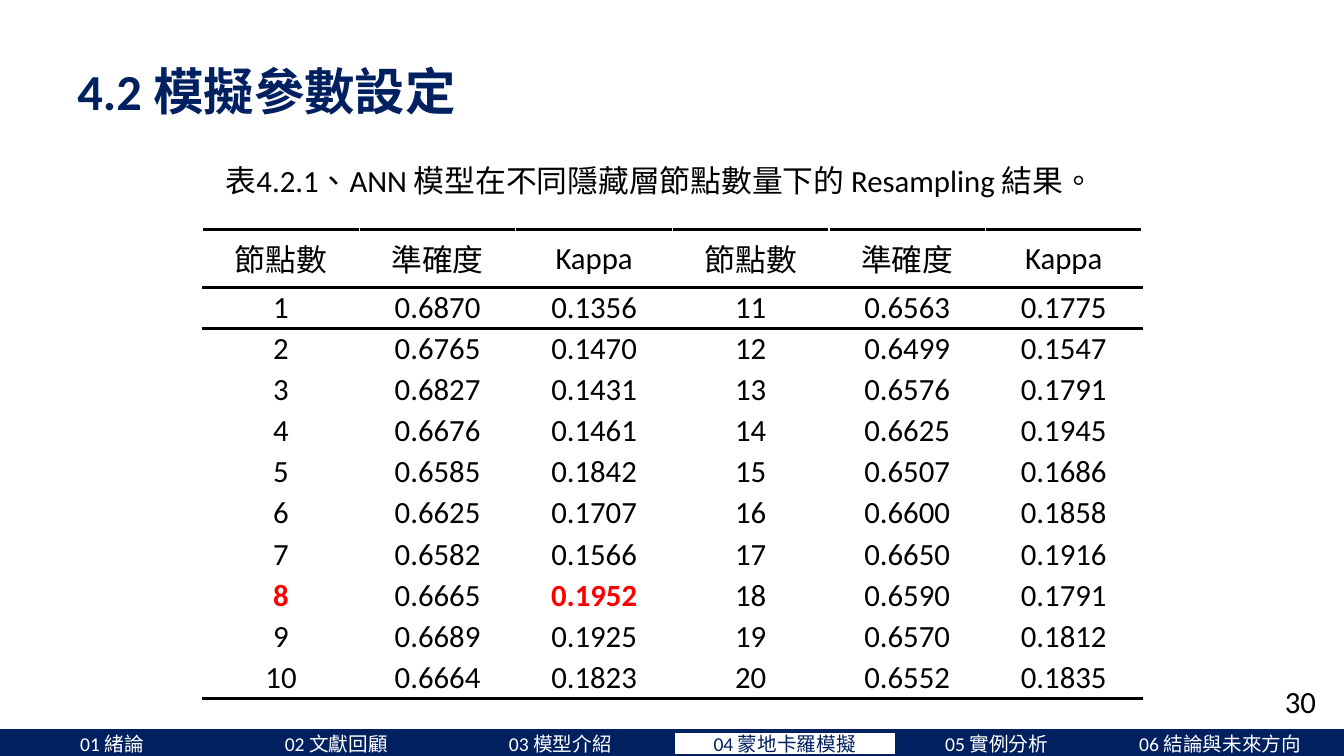
from itertools import accumulate
from lxml.etree import SubElement
from pptx import Presentation
from pptx.dml.color import RGBColor
from pptx.enum.lang import MSO_LANGUAGE_ID
from pptx.enum.shapes import MSO_SHAPE
from pptx.enum.text import MSO_ANCHOR, MSO_AUTO_SIZE, PP_ALIGN
from pptx.oxml.ns import qn
from pptx.util import Cm, Pt

NAVY, WHITE, BLACK, RED = "002060", "FFFFFF", "000000", "FF0000"
CHAPTERS = ["01 緒論", "02 文獻回顧", "03 模型介紹", "04 蒙地卡羅模擬", "05 實例分析", "06 結論與未來方向"]
CHAPTER_WIDTHS = [5.65, 5.65, 5.65, 5.65, 5.03, 6.24]
CURRENT_CHAPTER = 3
HEADINGS = ["節點數", "準確度", "Kappa"] * 2
ACCURACY = """0.6870 0.6765 0.6827 0.6676 0.6585 0.6625 0.6582 0.6665 0.6689 0.6664
0.6563 0.6499 0.6576 0.6625 0.6507 0.6600 0.6650 0.6590 0.6570 0.6552""".split()
KAPPA = """0.1356 0.1470 0.1431 0.1461 0.1842 0.1707 0.1566 0.1952 0.1925 0.1823
0.1775 0.1547 0.1791 0.1945 0.1686 0.1858 0.1916 0.1791 0.1812 0.1835""".split()
BEST = {"8", "0.1952"}


def rgb(hex_colour):
    """Turn a hex string into a colour."""
    return RGBColor.from_string(hex_colour)


def write(frame, text, size, colour, align=PP_ALIGN.LEFT, bold=False):
    """Put one formatted paragraph into a text frame."""
    frame.text = text
    paragraph = frame.paragraphs[0]
    paragraph.alignment = align
    for run in paragraph.runs:
        run.font.name = "Calibri"
        run.font.size = Pt(size)
        run.font.bold = bold
        run.font.color.rgb = rgb(colour)
        run.font.language_id = MSO_LANGUAGE_ID.TRADITIONAL_CHINESE


def add_chapter_bar(slide, left, top, height):
    """Draw the row of chapter tabs, with the current one in white."""
    offsets = accumulate(CHAPTER_WIDTHS, initial=0)
    for index, (chapter, offset, width) in enumerate(zip(CHAPTERS, offsets, CHAPTER_WIDTHS)):
        fill, ink = (WHITE, NAVY) if index == CURRENT_CHAPTER else (NAVY, WHITE)
        tab = slide.shapes.add_shape(MSO_SHAPE.RECTANGLE, Cm(left + offset), Cm(top), Cm(width), Cm(height))
        tab.shadow.inherit = False
        tab.fill.solid()
        tab.fill.fore_color.rgb = rgb(fill)
        tab.line.color.rgb = rgb(NAVY)
        tab.line.width = Pt(3)
        tab.text_frame.vertical_anchor = MSO_ANCHOR.MIDDLE
        write(tab.text_frame, chapter, 14, ink, PP_ALIGN.CENTER)


def set_title(slide, text, left, top, width, height):
    """Place and format the slide title."""
    title = slide.shapes.title
    title.left, title.top, title.width, title.height = Cm(left), Cm(top), Cm(width), Cm(height)
    frame = title.text_frame
    frame.auto_size = MSO_AUTO_SIZE.NONE
    frame.vertical_anchor = MSO_ANCHOR.TOP
    frame.margin_left = frame.margin_top = frame.margin_right = frame.margin_bottom = Cm(0.25)
    write(frame, text, 36, NAVY, bold=True)
    frame.paragraphs[0].line_spacing = 0.9


def add_label(slide, text, left, top, width, height):
    """Add a single line of body text."""
    frame = slide.shapes.add_textbox(Cm(left), Cm(top), Cm(width), Cm(height)).text_frame
    frame.word_wrap = False
    frame.auto_size = MSO_AUTO_SIZE.SHAPE_TO_FIT_TEXT
    write(frame, text, 22, BLACK)


def set_borders(cell, rule_above, rule_below):
    """Give a cell white edges, with black rules where asked."""
    properties = cell._tc.get_or_add_tcPr()
    edges = [("a:lnL", False), ("a:lnR", False), ("a:lnT", rule_above), ("a:lnB", rule_below)]
    for position, (tag, ruled) in enumerate(edges):
        edge = SubElement(properties, qn(tag), w=str(Pt(2.25 if ruled else 1)))
        SubElement(SubElement(edge, qn("a:solidFill")), qn("a:srgbClr"), val=BLACK if ruled else WHITE)
        properties.insert(position, edge)


def add_results_table(slide, left, top, width, height, heading_height):
    """Build the table of resampling results in two halves of ten node counts."""
    results = [[str(nodes + 1), ACCURACY[nodes], KAPPA[nodes]] for nodes in range(20)]
    rows = [HEADINGS] + [low + high for low, high in zip(results[:10], results[10:])]
    table = slide.shapes.add_table(len(rows), len(HEADINGS), Cm(left), Cm(top), Cm(width), Cm(height)).table
    table.first_row = table.horz_banding = False
    for column in table.columns:
        column.width = Cm(width / len(HEADINGS))
    ruled_levels = {0, 1, 2, len(rows)}
    for level, values in enumerate(rows):
        row_height = (height - heading_height) / (len(rows) - 1) if level else heading_height
        table.rows[level].height = Cm(row_height)
        for cell, value in zip(table.rows[level].cells, values):
            cell.fill.background()
            cell.vertical_anchor = MSO_ANCHOR.MIDDLE
            cell.margin_left = cell.margin_right = Cm(0.18)
            cell.margin_top = cell.margin_bottom = Cm(0)
            best = value in BEST
            write(cell.text_frame, value, 22, RED if best else BLACK, PP_ALIGN.CENTER, best)
            set_borders(cell, level in ruled_levels, level + 1 in ruled_levels)


def main():
    """Build the slide and save it."""
    presentation = Presentation()
    presentation.slide_width, presentation.slide_height = Cm(33.87), Cm(19.05)
    slide = presentation.slides.add_slide(presentation.slide_layouts[5])
    add_chapter_bar(slide, 0, 18.42, 0.63)
    add_label(slide, "30", 32.13, 17.07, 1.45, 1.19)
    set_title(slide, "4.2 模擬參數設定", 1.7, 1.45, 17.02, 1.88)
    add_label(slide, "表4.2.1、ANN 模型在不同隱藏層節點數量下的 Resampling 結果。", 5.44, 3.96, 23.01, 1.19)
    add_results_table(slide, 5.11, 5.79, 23.67, 11.81, 1.45)
    presentation.save("out.pptx")


if __name__ == "__main__":
    main()
